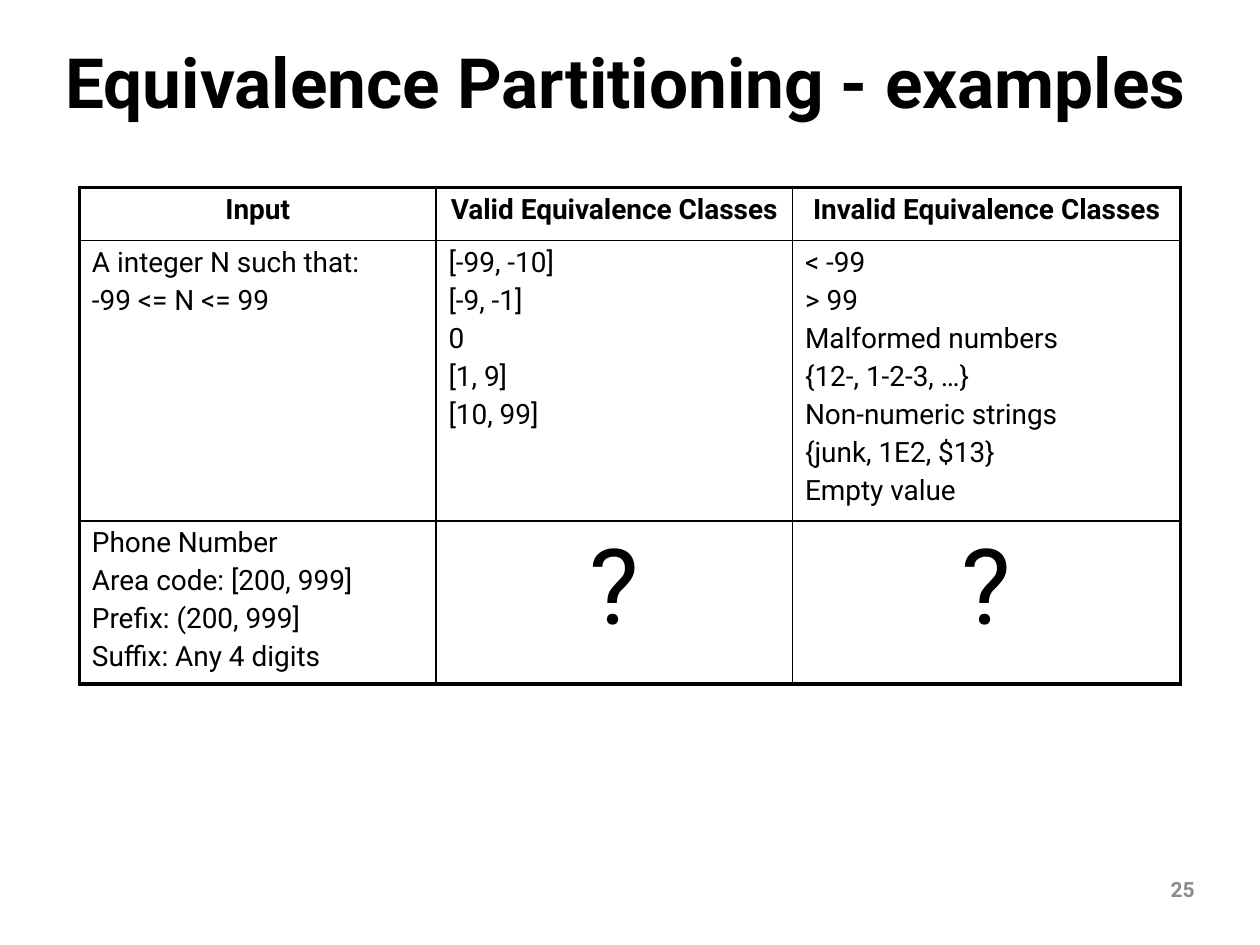
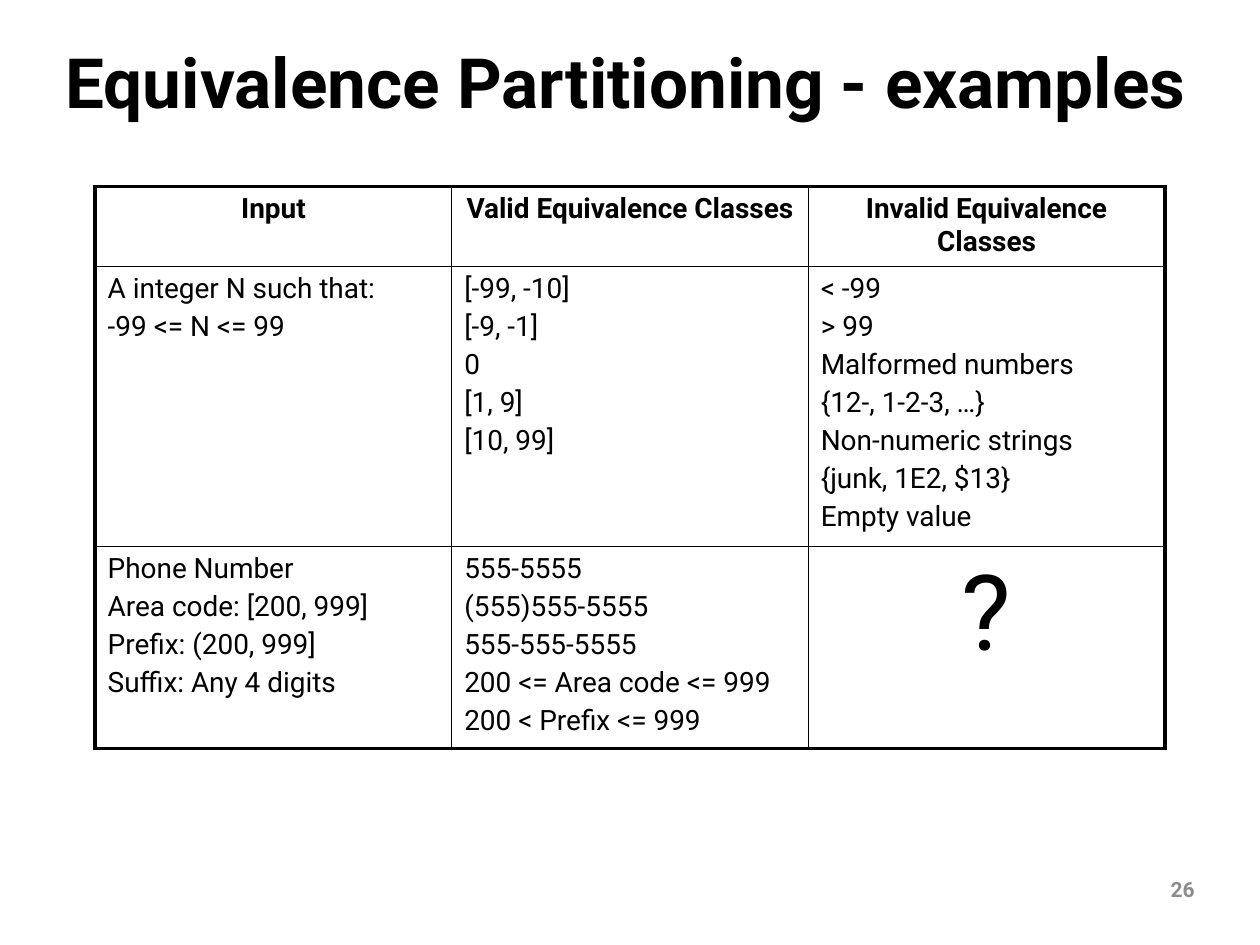
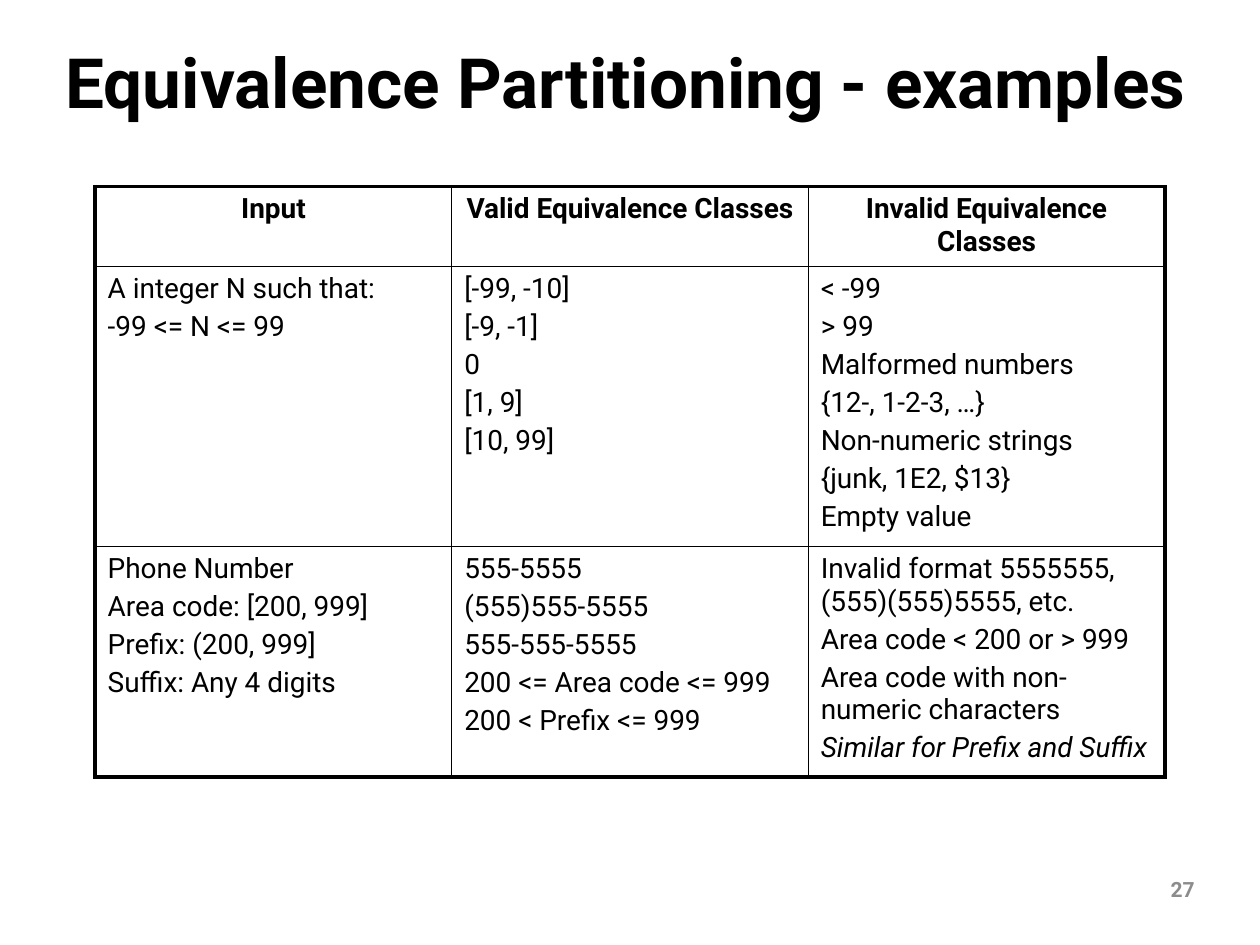
"""Build three slides that fill in an equivalence partitioning table step by step."""
from lxml.etree import SubElement
from pptx import Presentation
from pptx.dml.color import RGBColor
from pptx.enum.text import MSO_ANCHOR, MSO_AUTO_SIZE, PP_ALIGN
from pptx.oxml.ns import qn
from pptx.util import Inches, Pt

FONT = "Roboto"
BLACK = "000000"
GREY = "8C8C8C"
TITLE = "Equivalence Partitioning - examples"
THICK, THIN = Pt(2.25), Pt(1)
COLUMN = 2.83
ROWS = [0.42, 1.12, 1.12]
FIRST_PAGE = 25

HEADER = [["Input"], ["Valid Equivalence Classes"], ["Invalid Equivalence Classes"]]
INTEGER = [
    ["A integer N such that:", "-99 <= N <= 99"],
    ["[-99, -10]", "[-9, -1]", "0", "[1, 9]", "[10, 99]"],
    ["< -99", "> 99", "Malformed numbers", "{12-, 1-2-3, …}",
     "Non-numeric strings", "{junk, 1E2, $13}", "Empty value"],
]
PHONE = ["Phone Number", "Area code: [200, 999]", "Prefix: (200, 999]", "Suffix: Any 4 digits"]
OPEN = ["?"]
VALID = ["555-5555", "(555)555-5555", "555-555-5555",
         "200 <= Area code <= 999", "200 < Prefix <= 999"]
SIMILAR = "Similar for Prefix and Suffix"
INVALID = ["Invalid format 5555555, (555)(555)5555, etc.", "Area code < 200 or > 999",
           "Area code with non-numeric characters", SIMILAR]

STEPS = [
    ([PHONE, OPEN, OPEN], 3.08, 1.49, 4.25),
    ([PHONE, VALID, OPEN], COLUMN, 1.48, 4.57),
    ([PHONE, VALID, INVALID], COLUMN, 1.48, 5.05),
]


def add_span(para, text, size, color=BLACK, bold=False):
    """Add one formatted run to a paragraph and return it."""
    span = para.add_run()
    span.text = text
    span.font.name = FONT
    span.font.size = Pt(size)
    span.font.bold = bold
    span.font.color.rgb = RGBColor.from_string(color)
    return span


def add_border(cell, side, width):
    """Draw a solid black border on one side of a cell."""
    line = SubElement(cell._tc.get_or_add_tcPr(), qn(f"a:ln{side}"), w=str(width))
    SubElement(SubElement(line, qn("a:solidFill")), qn("a:srgbClr"), val=BLACK)


deck = Presentation()
deck.slide_width, deck.slide_height = Inches(10), Inches(7.5)

for page_number, (phone_row, last_column, top, height) in enumerate(STEPS, FIRST_PAGE):
    page = deck.slides.add_slide(deck.slide_layouts[5])

    title = page.shapes.title
    title.left, title.top = Inches(0.42), Inches(0.29)
    title.width, title.height = Inches(9.15), Inches(0.78)
    title.text_frame.auto_size = MSO_AUTO_SIZE.NONE
    title.text_frame.vertical_anchor = MSO_ANCHOR.MIDDLE
    para = title.text_frame.paragraphs[0]
    para.alignment = PP_ALIGN.LEFT
    para.line_spacing = 0.9
    add_span(para, TITLE, 39.6, bold=True)

    box = page.shapes.add_textbox(Inches(8.51), Inches(6.86), Inches(1.07), Inches(0.4))
    box.text_frame.word_wrap = True
    box.text_frame.vertical_anchor = MSO_ANCHOR.MIDDLE
    para = box.text_frame.paragraphs[0]
    para.alignment = PP_ALIGN.RIGHT
    add_span(para, str(page_number), 12, GREY, bold=True)

    columns = [COLUMN, COLUMN, last_column]
    width = Inches(sum(columns))
    grid = [HEADER, INTEGER, phone_row]
    frame = page.shapes.add_table(len(ROWS), len(columns), (deck.slide_width - width) // 2,
                                  Inches(top), width, Inches(height))
    table = frame.table
    table.first_row = table.horz_banding = False
    for column, size in zip(table.columns, columns):
        column.width = Inches(size)
    for row, size in zip(table.rows, ROWS):
        row.height = Inches(size)
    frame.height = Inches(height)

    for row, contents in enumerate(grid):
        for column, lines in enumerate(contents):
            cell = table.cell(row, column)
            add_border(cell, "L", THICK if column == 0 else THIN)
            add_border(cell, "R", THICK if column == len(columns) - 1 else THIN)
            add_border(cell, "T", THICK if row == 0 else THIN)
            add_border(cell, "B", THICK if row == len(ROWS) - 1 else THIN)
            cell.fill.background()
            centred = row == 0 or lines is OPEN
            for index, text in enumerate(lines):
                paras = cell.text_frame
                para = paras.add_paragraph() if index else paras.paragraphs[0]
                para.alignment = PP_ALIGN.CENTER if centred else PP_ALIGN.LEFT
                para.space_before = Pt(3.1)
                span = add_span(para, text, 60 if lines is OPEN else 16, bold=row == 0)
                if text == SIMILAR:
                    span.font.italic = True

deck.save("out.pptx")
